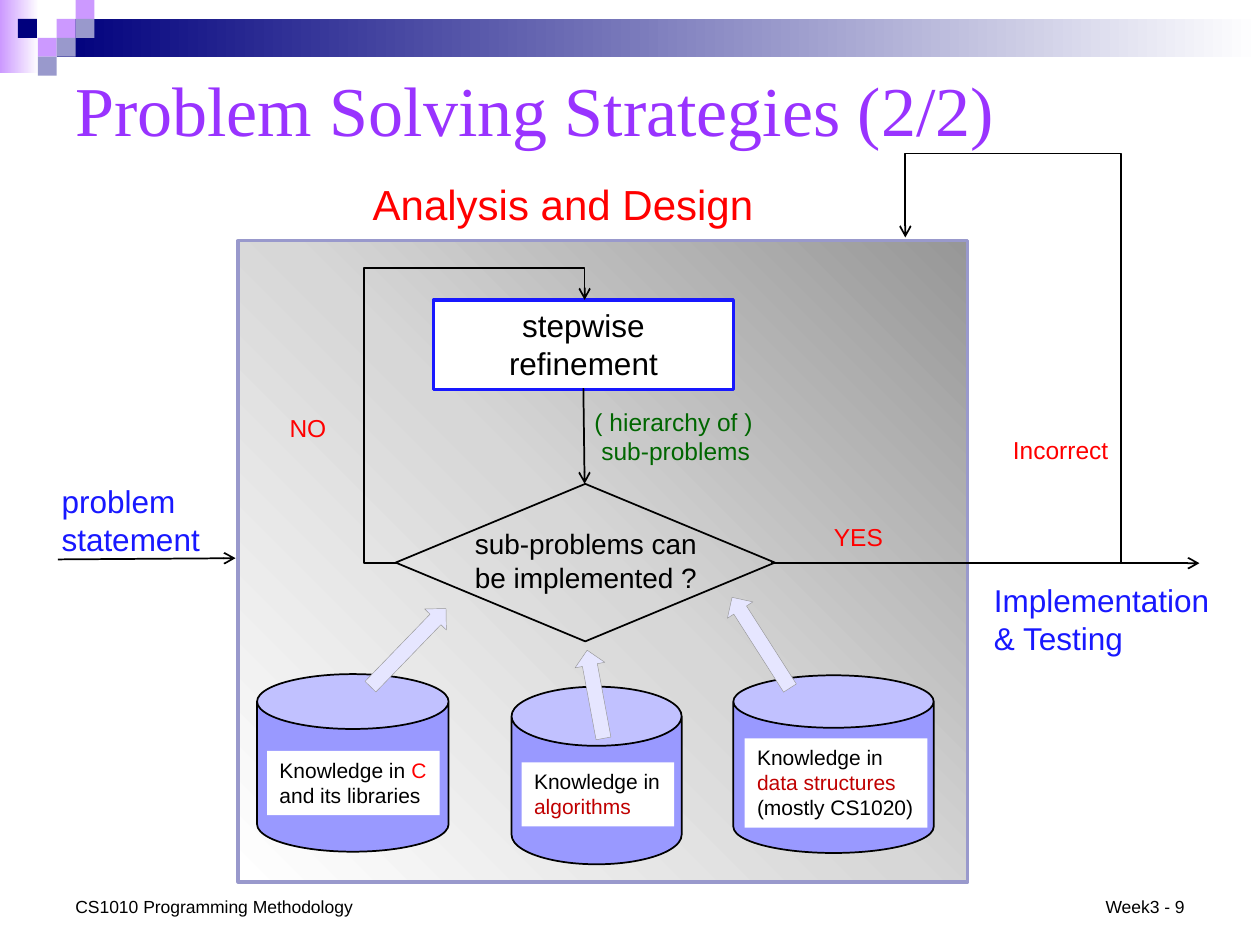
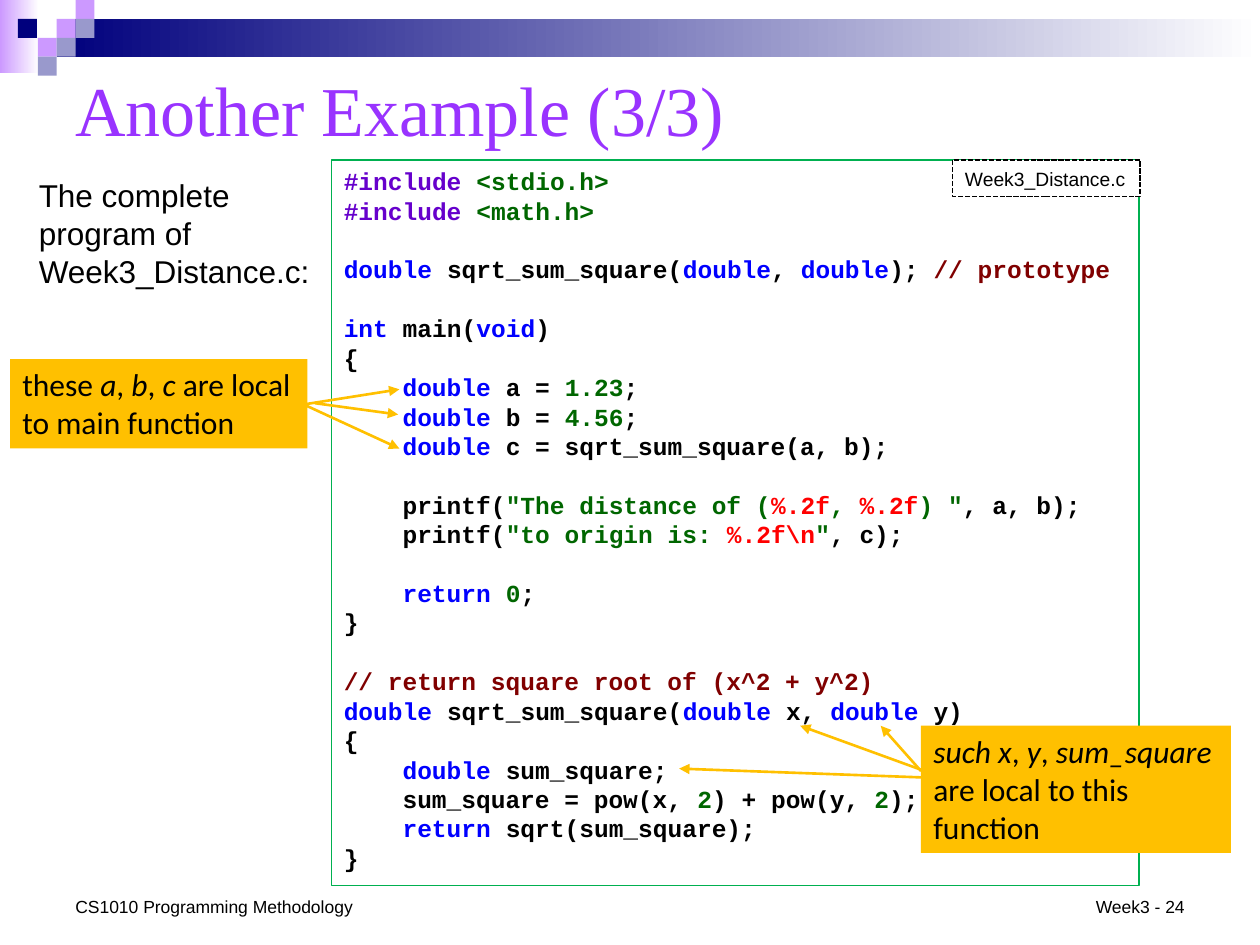
from math import atan2, degrees, hypot

from lxml.etree import SubElement
from pptx import Presentation
from pptx.dml.color import RGBColor
from pptx.enum.dml import MSO_LINE
from pptx.enum.shapes import MSO_CONNECTOR as Connector, MSO_SHAPE as Shape
from pptx.enum.text import MSO_ANCHOR as Anchor, PP_ALIGN as Align
from pptx.oxml.ns import qn
from pptx.util import Inches, Pt

SLIDE_WIDTH, SLIDE_HEIGHT = Inches(10), Inches(7.5)
COLUMN, ROW = SLIDE_WIDTH / 100, SLIDE_HEIGHT / 75
LINE_HEIGHT = 1.2
CODE_SIZE = 14
CODE_INDENT = Pt(4 * 0.6 * CODE_SIZE)

BLACK = RGBColor(0, 0, 0)
WHITE = RGBColor(255, 255, 255)
NAVY = RGBColor(0, 0, 0x7D)
LILAC = RGBColor(0xCC, 0x99, 0xFF)
SLATE = RGBColor(0x99, 0x99, 0xCC)
VIOLET = RGBColor(0x99, 0x33, 0xFF)
BLUE = RGBColor(0x18, 0x18, 0xFF)
PERIWINKLE = RGBColor(0x99, 0x99, 0xFF)
LAVENDER = RGBColor(0xE6, 0xE6, 0xFF)
GREY = RGBColor(0x97, 0x97, 0x97)
SILVER = RGBColor(0xD7, 0xD7, 0xD7)
RED = RGBColor(255, 0, 0)
CRIMSON = RGBColor(0xC0, 0, 0)
GREEN = RGBColor(0, 0x66, 0)
FRAME_GREEN = RGBColor(0, 0xB0, 0x50)
AMBER = RGBColor(0xFF, 0xC0, 0)
PURPLE = RGBColor(0x66, 0, 0xCC)
KEYWORD_BLUE = RGBColor(0, 0, 0xFF)
MAROON = RGBColor(0x80, 0, 0)

INCLUDE = {"color": PURPLE}
KEYWORD = {"color": KEYWORD_BLUE}
LITERAL = {"color": GREEN}
ESCAPE = {"color": RED}
COMMENT = {"color": MAROON}
ITALIC = {"italic": True}
DOUBLE = ("double ", KEYWORD)
DOUBLE_TYPE = ("double", KEYWORD)

PROGRAM_BLOCKS = [
    [(0, [("#include ", INCLUDE), ("<stdio.h>", LITERAL)]),
     (0, [("#include ", INCLUDE), ("<math.h>", LITERAL)])],
    [(0, [DOUBLE, "sqrt_sum_square(", DOUBLE_TYPE, ", ", DOUBLE_TYPE, "); ",
          ("// prototype", COMMENT)])],
    [(0, [("int", KEYWORD), " main(", ("void", KEYWORD), ")"]),
     (0, ["{"]),
     (1, [DOUBLE, "a = ", ("1.23", LITERAL), ";"]),
     (1, [DOUBLE, "b = ", ("4.56", LITERAL), ";"]),
     (1, [DOUBLE, "c = sqrt_sum_square(a, b);"])],
    [(1, ["printf(", ('"The distance of (', LITERAL), ("%.2f", ESCAPE), (", ", LITERAL),
          ("%.2f", ESCAPE), (') "', LITERAL), ", a, b);"]),
     (1, ["printf(", ('"to origin is: ', LITERAL), ("%.2f\\n", ESCAPE), ('"', LITERAL),
          ", c);"])],
    [(1, [("return ", KEYWORD), ("0", LITERAL), ";"]),
     (0, ["}"])],
    [(0, [("// return square root of (x^2 + y^2)", COMMENT)]),
     (0, [DOUBLE, "sqrt_sum_square(", DOUBLE_TYPE, " x, ", DOUBLE_TYPE, " y)"]),
     (0, ["{"]),
     (1, [DOUBLE, "sum_square;"]),
     (1, ["sum_square = pow(x, ", ("2", LITERAL), ") + pow(y, ", ("2", LITERAL), ");"]),
     (1, [("return ", KEYWORD), "sqrt(sum_square);"]),
     (0, ["}"])],
]


def grid(*lengths):
    return [round(length * (ROW if index % 2 else COLUMN)) for index, length in enumerate(lengths)]


def set_font(font, formats):
    for name, value in formats.items():
        if name == "color":
            font.color.rgb = value
        else:
            setattr(font, name, value)


def write(shape, paragraphs, size, color=BLACK, font="Arial", align=Align.LEFT,
          anchor=Anchor.TOP, wrap=True, bold=False):
    frame = shape.text_frame
    frame.word_wrap = wrap
    frame.vertical_anchor = anchor
    base = {"name": font, "size": Pt(size), "bold": bold, "color": color}
    for index, runs in enumerate(paragraphs):
        paragraph = frame.paragraphs[0] if index == 0 else frame.add_paragraph()
        paragraph.alignment = align
        paragraph.line_spacing = Pt(size * LINE_HEIGHT)
        for item in [runs] if isinstance(runs, str) else runs:
            text, formats = (item, {}) if isinstance(item, str) else item
            run = paragraph.add_run()
            run.text = text
            set_font(run.font, {**base, **formats})


def add_label(slide, box, paragraphs, size, color=BLACK, wrap=False, **formats):
    write(slide.shapes.add_textbox(*grid(*box)), paragraphs, size, color, wrap=wrap, **formats)


def add_shape(slide, kind, box, fill=None, line=None, weight=1):
    shape = slide.shapes.add_shape(kind, *grid(*box))
    shape.shadow.inherit = False
    if fill is None:
        shape.fill.background()
    else:
        shape.fill.solid()
        shape.fill.fore_color.rgb = fill
    if line is None:
        shape.line.fill.background()
    else:
        shape.line.color.rgb = line
        shape.line.width = Pt(weight)
    return shape


def set_gradient(shape, colors, from_corner=False):
    shape.fill.gradient()
    gradient = shape._element.spPr.find(qn("a:gradFill"))
    for child in list(gradient):
        gradient.remove(child)
    stops = SubElement(gradient, qn("a:gsLst"))
    for index, color in enumerate(colors):
        position = round(100000 * index / (len(colors) - 1))
        stop = SubElement(stops, qn("a:gs"), pos=str(position))
        SubElement(stop, qn("a:srgbClr"), val=str(color))
    if from_corner:
        route = SubElement(gradient, qn("a:path"), path="circle")
        SubElement(route, qn("a:fillToRect"), l="100000", b="100000")
    else:
        SubElement(gradient, qn("a:lin"), ang="0", scaled="1")


def add_arrow(slide, start, end, color=BLACK, weight=1, head="arrow", kind=Connector.STRAIGHT):
    connector = slide.shapes.add_connector(kind, *grid(*start, *end))
    connector.line.color.rgb = color
    connector.line.width = Pt(weight)
    SubElement(connector.line._get_or_add_ln(), qn("a:tailEnd"), type=head)
    SubElement(connector._element.spPr, qn("a:effectLst"))
    return connector


def add_bent_arrow(slide, start, end, rotation, adjustments):
    connector = add_arrow(slide, start, end, kind=Connector.ELBOW)
    connector.rotation = rotation
    geometry = connector._element.spPr.find(qn("a:prstGeom"))
    geometry.set("prst", f"bentConnector{len(adjustments) + 2}")
    guides = geometry.find(qn("a:avLst"))
    if guides is None:
        guides = SubElement(geometry, qn("a:avLst"))
    for number, share in enumerate(adjustments, 1):
        SubElement(guides, qn("a:gd"), name=f"adj{number}", fmla=f"val {round(share * 100000)}")


def add_block_arrow(slide, tail, tip, thickness=2.4):
    across, down = tip[0] - tail[0], tip[1] - tail[1]
    length = hypot(across, down)
    box = ((tail[0] + tip[0] - length) / 2, (tail[1] + tip[1] - thickness) / 2, length, thickness)
    arrow = add_shape(slide, Shape.RIGHT_ARROW, box, LAVENDER, GREY, 0.25)
    arrow.rotation = degrees(atan2(down, across))


def add_knowledge(slide, cylinder, label, paragraphs):
    add_shape(slide, Shape.CAN, cylinder, PERIWINKLE, BLACK).adjustments[0] = 0.333 * cylinder[3] / cylinder[2]
    write(add_shape(slide, Shape.RECTANGLE, label, WHITE), paragraphs, 12, wrap=False)


def add_callout(slide, box, runs, arrows):
    write(add_shape(slide, Shape.RECTANGLE, box, AMBER), [runs], 18, font="Calibri")
    for start, end in arrows:
        add_arrow(slide, start, end, AMBER, 1.5, "triangle")


def add_base_slide(presentation, title, number):
    slide = presentation.slides.add_slide(presentation.slide_layouts[6])
    for box, color in [((0, 0, 3.1, 5.8), LILAC), ((4.5, 1.5, 95.5, 3), NAVY)]:
        set_gradient(add_shape(slide, Shape.RECTANGLE, box), [color, WHITE])
    tiles = [(3, 1, LILAC), (4, 0, LILAC), (4, 1, SLATE), (2, 2, LILAC),
             (0.95, 1, NAVY), (3, 2, SLATE), (2, 3, SLATE)]
    for column, row, color in tiles:
        add_shape(slide, Shape.RECTANGLE, (column * 1.5, row * 1.5, 1.5, 1.5), color)
    add_label(slide, (5, 4.2, 90, 8.8), [title], 40, VIOLET, font="Times New Roman",
              anchor=Anchor.MIDDLE, wrap=True)
    add_label(slide, (5, 70.6, 24.2, 2.7), ["CS1010 Programming Methodology"], 10,
              anchor=Anchor.BOTTOM)
    add_label(slide, (85.8, 70.6, 9.2, 2.7), [f"Week3 - {number}"], 10,
              align=Align.RIGHT, anchor=Anchor.BOTTOM, wrap=True)
    return slide


def add_strategy_slide(presentation):
    slide = add_base_slide(presentation, "Problem Solving Strategies (2/2)", 9)
    panel = add_shape(slide, Shape.RECTANGLE, (18.9, 19.1, 57.9, 50.9), WHITE, SLATE, 2)
    set_gradient(panel, [GREY, SILVER, WHITE], from_corner=True)
    refinement = add_shape(slide, Shape.RECTANGLE, (34.4, 23.8, 23.8, 7.1), WHITE, BLUE, 2)
    write(refinement, ["stepwise", "refinement"], 18, align=Align.CENTER)
    add_shape(slide, Shape.DIAMOND, (31.4, 38.4, 30.1, 12.5), line=BLACK)

    for start, end in [((4.6, 44.4), (18.7, 44.3)), ((46.3, 30.8), (46.4, 38.4)),
                       ((61.2, 44.7), (95.2, 44.7))]:
        add_arrow(slide, start, end)
    add_bent_arrow(slide, (46.4, 23.8), (31.4, 44.7), 180, [-0.167, 1.12])
    add_bent_arrow(slide, (67.5, 40.3), (93.3, 23.2), 270, [1.258])

    add_knowledge(slide, (20.4, 53.5, 15.2, 14.1), (21.2, 59.6, 13.7, 5.1),
                  [["Knowledge in ", ("C", {"color": RED})], "and its libraries"])
    add_knowledge(slide, (40.6, 54.5, 13.5, 14.1), (41.4, 60.5, 12.1, 5.1),
                  ["Knowledge in", [("algorithms", {"color": CRIMSON})]])
    add_knowledge(slide, (58.2, 53.6, 15.9, 14.1), (59.1, 58.6, 14.5, 7.1),
                  ["Knowledge in", [("data structures", {"color": CRIMSON})], "(mostly CS1020)"])
    for tail, tip in [((29.4, 54.5), (35.4, 48.3)), ((47.9, 58.6), (46.6, 51.6)),
                      ((62.7, 54.6), (58.1, 47.4))]:
        add_block_arrow(slide, tail, tip)

    labels = [
        ((3.9, 37.8, 13.1, 7.1), ["problem", "statement"], 18, BLUE),
        ((46.2, 31.8, 14.6, 5.7), ["( hierarchy of )", " sub-problems"], 14, GREEN),
        ((36.7, 41.3, 19.9, 6.4), ["sub-problems can", "be implemented ?"], 16, BLACK),
        ((22, 32.3, 5, 3.4), ["NO"], 14, RED),
        ((65.2, 40.9, 6, 3.4), ["YES"], 14, RED),
        ((77.9, 45.6, 19.3, 7.1), ["Implementation", "& Testing"], 18, BLUE),
        ((79.4, 34, 9.6, 3.4), ["Incorrect"], 14, RED),
    ]
    for label in labels:
        add_label(slide, *label)
    add_label(slide, (28.6, 13.7, 36.4, 5), ["Analysis and Design"], 24, RED, wrap=True)


def add_program(slide, box):
    listing = add_shape(slide, Shape.RECTANGLE, box, WHITE, FRAME_GREEN, 0.75)
    lines = [(indent, runs, block > 0 and row == 0)
             for block, rows in enumerate(PROGRAM_BLOCKS)
             for row, (indent, runs) in enumerate(rows)]
    write(listing, [runs for _, runs, _ in lines], CODE_SIZE, font="Courier New", bold=True)
    for paragraph, (indent, _, starts_block) in zip(listing.text_frame.paragraphs, lines):
        paragraph._p.get_or_add_pPr().set("marL", str(indent * CODE_INDENT))
        if starts_block:
            paragraph.space_before = Pt(CODE_SIZE * LINE_HEIGHT)


def add_example_slide(presentation):
    slide = add_base_slide(presentation, "Another Example (3/3)", 24)
    add_program(slide, (26.3, 12.7, 64.1, 57.6))
    file_tag = add_shape(slide, Shape.RECTANGLE, (75.6, 12.7, 14.9, 2.9), WHITE, BLACK)
    file_tag.line.dash_style = MSO_LINE.SQUARE_DOT
    write(file_tag, ["Week3_Distance.c"], 11, anchor=Anchor.MIDDLE, wrap=False)
    add_label(slide, (2.1, 13.5, 24, 10.1), ["The complete program of Week3_Distance.c:"], 18,
              wrap=True)
    add_callout(slide, (0.8, 28.5, 23.6, 7.1),
                ["these ", ("a", ITALIC), ", ", ("b", ITALIC), ", ", ("c", ITALIC),
                 " are local to main function"],
                [((24.1, 32.1), (31.7, 30.9)), ((24.1, 32.1), (31.7, 35.6)),
                 ((25, 32), (31.6, 32.9))])
    add_callout(slide, (73.1, 57.6, 24.6, 10.1),
                [("such x", ITALIC), ", ", ("y", ITALIC), ", ", ("sum_square ", ITALIC),
                 "are local to this function"],
                [((73.1, 61.2), (69.9, 57.6)), ((73.1, 61.7), (53.9, 61)),
                 ((73.4, 61.2), (63.5, 57.6))])


def main():
    presentation = Presentation()
    presentation.slide_width, presentation.slide_height = SLIDE_WIDTH, SLIDE_HEIGHT
    add_strategy_slide(presentation)
    add_example_slide(presentation)
    presentation.save("out.pptx")


if __name__ == "__main__":
    main()
